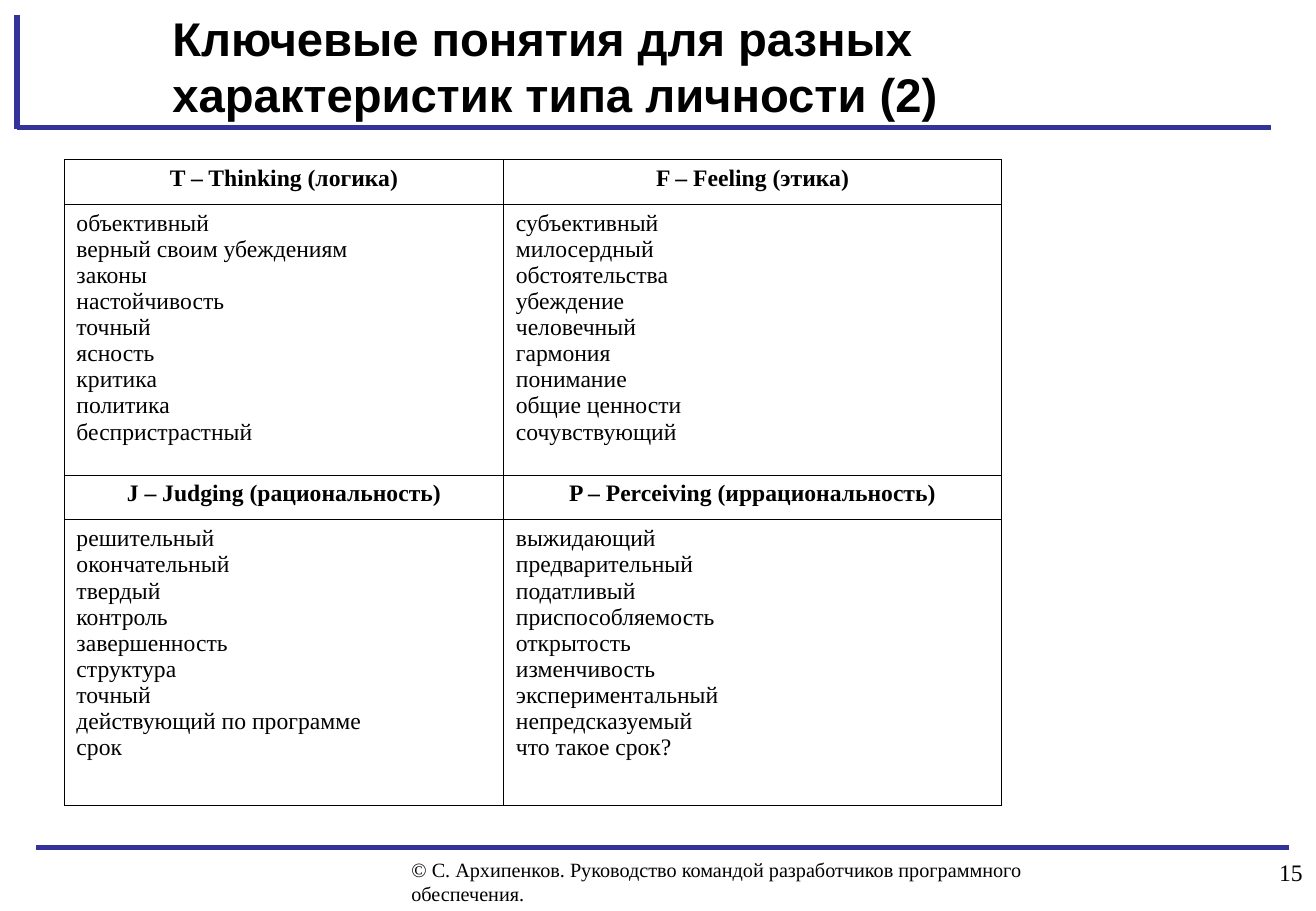
from lxml import etree
from pptx import Presentation
from pptx.dml.color import RGBColor
from pptx.enum.shapes import MSO_CONNECTOR
from pptx.enum.text import MSO_ANCHOR, MSO_AUTO_SIZE, PP_ALIGN
from pptx.oxml.ns import qn
from pptx.util import Inches, Pt

LEFT, MID, RIGHT = PP_ALIGN.LEFT, PP_ALIGN.CENTER, PP_ALIGN.RIGHT
TOP, CENTER = MSO_ANCHOR.TOP, MSO_ANCHOR.MIDDLE
FIXED = MSO_AUTO_SIZE.NONE
LINE = MSO_CONNECTOR.STRAIGHT

WIDTH, HEIGHT = 10.84, 7.5
BLACK, BLUE = "000000", "333399"
SERIF, SANS = "Times New Roman", "Arial"

TITLE = "Ключевые понятия для разных характеристик типа личности (2)"
FOOTER = "© С. Архипенков. Руководство командой разработчиков программного обеспечения."
NUMBER = "15"

TYPES = [
    [
        ("T – Thinking (логика)", [
            "объективный", "верный своим убеждениям", "законы",
            "настойчивость", "точный", "ясность",
            "критика", "политика", "беспристрастный"]),
        ("F – Feeling (этика)", [
            "субъективный", "милосердный", "обстоятельства",
            "убеждение", "человечный", "гармония",
            "понимание", "общие ценности", "сочувствующий"]),
    ],
    [
        ("J – Judging (рациональность)", [
            "решительный", "окончательный", "твердый",
            "контроль", "завершенность", "структура",
            "точный", "действующий по программе", "срок"]),
        ("P – Perceiving (иррациональность)", [
            "выжидающий", "предварительный", "податливый",
            "приспособляемость", "открытость", "изменчивость",
            "экспериментальный", "непредсказуемый", "что такое срок?"]),
    ],
]

COLS = [3.62, 4.1]
ROWS = [0.37, 2.23, 0.37, 2.35]
GRID = (0.53, 1.31, sum(COLS), sum(ROWS))
RULES = [
    (0.3, 6.98, 10.62, 6.98),
    (0.14, 1.05, 10.47, 1.05),
    (0.14, 0.12, 0.14, 1.06),
]
TITLE_BOX = (1.32, 0.12, 8.99, 0.84)
FOOT_TOP, FOOT_TALL = 7.01, 0.49
FOOT_BOX = (3.29, FOOT_TOP, 5.72, FOOT_TALL)
NUM_BOX = (9.51, FOOT_TOP, 1.32, FOOT_TALL)

HEAD = {"size": Pt(28), "name": SANS, "bold": True}
BODY = {"size": Pt(14), "name": SERIF, "bold": False}
LABEL = {**BODY, "bold": True}
NOTE = {**BODY, "size": Pt(12)}
INSETS = {"margin_left": Inches(0.1), "margin_right": Inches(0.1),
          "margin_top": Inches(0.05), "margin_bottom": Inches(0.05)}
FRAME = {**INSETS, "word_wrap": True, "auto_size": FIXED}


def color(code):
    """Turn a hex string into a colour."""
    return RGBColor.from_string(code)


def apply(target, values):
    """Set each named attribute on the target."""
    for name, value in values.items():
        setattr(target, name, value)


def place(shape, box):
    """Move and size a shape in inches."""
    names = ("left", "top", "width", "height")
    apply(shape, dict(zip(names, map(Inches, box))))


def write(frame, lines, style, align=LEFT):
    """Fill a text frame with one paragraph per line."""
    for i, line in enumerate(lines):
        para = frame.paragraphs[0] if i == 0 else frame.add_paragraph()
        para.alignment = align
        run = para.add_run()
        run.text = line
        apply(run.font, style)
        run.font.color.rgb = color(BLACK)


def add_text(slide, box, text, style, align=LEFT):
    """Add a wrapped text box."""
    frame = slide.shapes.add_textbox(*map(Inches, box)).text_frame
    apply(frame, {**FRAME, "vertical_anchor": TOP})
    write(frame, [text], style, align)


def add_rule(slide, ends):
    """Draw one thick blue line."""
    rule = slide.shapes.add_connector(LINE, *map(Inches, ends))
    rule.line.color.rgb = color(BLUE)
    rule.line.width = Pt(3)
    etree.SubElement(rule._element.spPr, qn("a:effectLst"))


def edge(cell):
    """Give a cell thin black borders and no fill."""
    props = cell._tc.get_or_add_tcPr()
    for side in ("a:lnL", "a:lnR", "a:lnT", "a:lnB"):
        line = etree.SubElement(props, qn(side), w=str(Pt(0.45)))
        fill = etree.SubElement(line, qn("a:solidFill"))
        etree.SubElement(fill, qn("a:srgbClr"), val=BLACK)
    cell.fill.background()


def fill_cell(cell, lines, style, align):
    """Write and format one table cell."""
    apply(cell, {**INSETS, "vertical_anchor": TOP})
    write(cell.text_frame, lines, style, align)
    edge(cell)


def add_types(slide):
    """Build the table of personality types."""
    shape = slide.shapes.add_table(len(ROWS), len(COLS), *map(Inches, GRID))
    table = shape.table
    apply(table, {"first_row": False, "horz_banding": False})
    for col, width in zip(table.columns, COLS):
        col.width = Inches(width)
    for row, height in zip(table.rows, ROWS):
        row.height = Inches(height)
    for i, pair in enumerate(TYPES):
        for j, (label, traits) in enumerate(pair):
            fill_cell(table.cell(2 * i, j), [label], LABEL, MID)
            fill_cell(table.cell(2 * i + 1, j), traits, BODY, LEFT)


def main():
    """Build and save the slide."""
    deck = Presentation()
    apply(deck, {"slide_width": Inches(WIDTH), "slide_height": Inches(HEIGHT)})
    slide = deck.slides.add_slide(deck.slide_layouts[5])
    for ends in RULES:
        add_rule(slide, ends)
    add_text(slide, FOOT_BOX, FOOTER, NOTE)
    add_text(slide, NUM_BOX, NUMBER, BODY, RIGHT)
    title = slide.shapes.title
    place(title, TITLE_BOX)
    apply(title.text_frame, {**FRAME, "vertical_anchor": CENTER})
    write(title.text_frame, [TITLE], HEAD)
    add_types(slide)
    deck.save("out.pptx")


if __name__ == "__main__":
    main()
